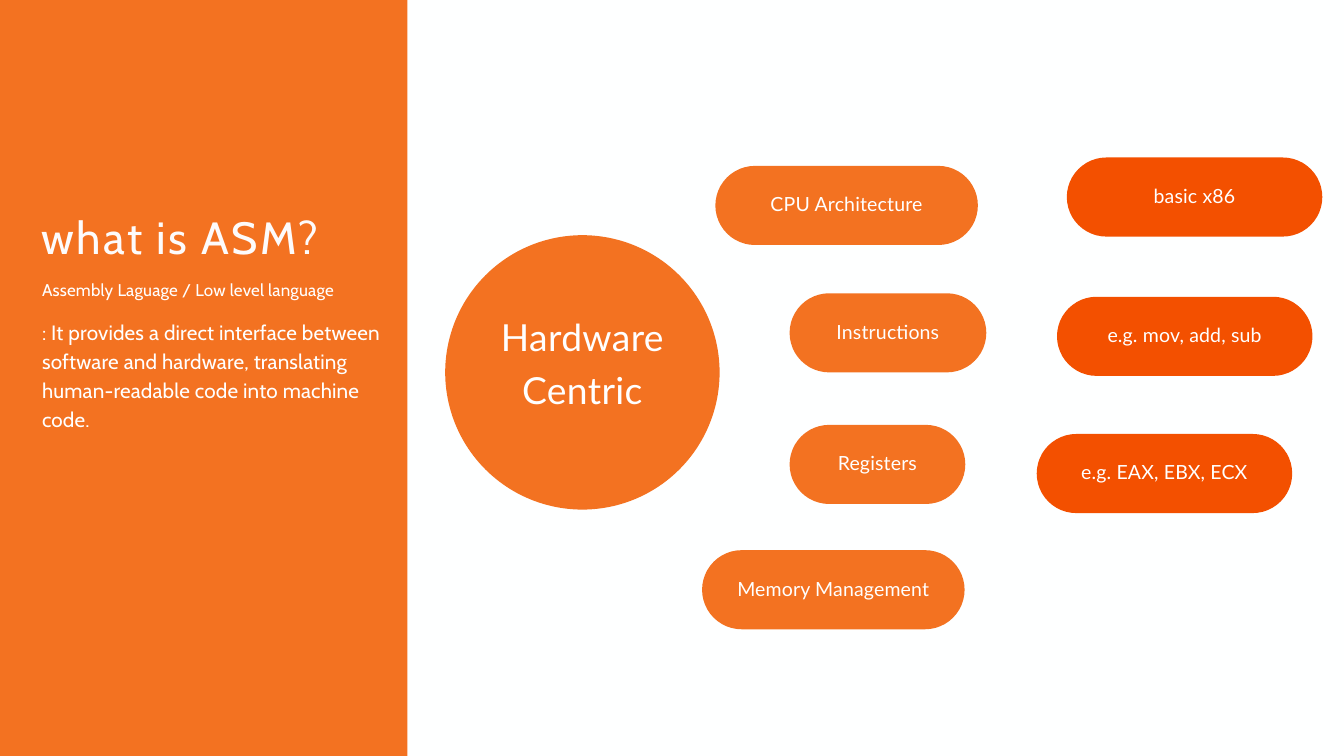
from pptx import Presentation
from pptx.dml.color import RGBColor
from pptx.enum.shapes import MSO_SHAPE
from pptx.enum.text import MSO_ANCHOR, PP_ALIGN
from pptx.util import Pt

RECTANGLE = MSO_SHAPE.RECTANGLE
OVAL = MSO_SHAPE.OVAL
PILL = MSO_SHAPE.ROUNDED_RECTANGLE
MIDDLE = MSO_ANCHOR.MIDDLE
TOP = MSO_ANCHOR.TOP
CENTER = PP_ALIGN.CENTER
LEFT = PP_ALIGN.LEFT

PX = 9525
COLORS = {
    "background": "FEFFFF",
    "topic": "F37221",
    "example": "F35000",
    "text": "FFFFFF",
    "title": "FDFBFB",
}
PILL_HEIGHT = 113

deck = Presentation()
deck.slide_width = 1920 * PX
deck.slide_height = 1080 * PX
page = deck.slides.add_slide(deck.slide_layouts[6])
page.background.fill.solid()
page.background.fill.fore_color.rgb = RGBColor.from_string(COLORS["background"])


def add_block(kind, left, top, width, height, color):
    shape = page.shapes.add_shape(kind, left * PX, top * PX, width * PX, height * PX)
    shape.shadow.inherit = False
    shape.fill.solid()
    shape.fill.fore_color.rgb = RGBColor.from_string(COLORS[color])
    shape.line.fill.background()
    return shape


def write(box, lines, font, margins, anchor, align, color="text"):
    frame = box.text_frame
    frame.word_wrap = True
    frame.vertical_anchor = anchor
    frame.margin_left, frame.margin_top, frame.margin_right, frame.margin_bottom = (
        margin * PX for margin in margins
    )
    for index, (text, size, line_height, gap, tracking) in enumerate(lines):
        para = frame.add_paragraph() if index else frame.paragraphs[0]
        para.alignment = align
        para.line_spacing = Pt(line_height)
        if gap:
            para.space_before = Pt(gap)
        span = para.add_run()
        span.text = text
        span.font.name = font
        span.font.size = Pt(size)
        span.font.color.rgb = RGBColor.from_string(COLORS[color])
        span.font._element.set("spc", str(tracking))


add_block(RECTANGLE, 0, 0, 582, 1080, "topic")

circle = add_block(OVAL, 636, 336, 392, 392, "topic")
circle_lines = [(word, 39.9, 55.9, 0, 40) for word in ("Hardware", "Centric")]
write(circle, circle_lines, "Lato", (6, 6, 6, 43), MIDDLE, CENTER)

pills = [
    ("CPU Architecture", 1022, 237, 375, "topic"),
    ("Instructions", 1128, 419, 281, "topic"),
    ("Registers", 1128, 607, 251, "topic"),
    ("Memory Management", 1003, 786, 375, "topic"),
    ("basic x86", 1524, 225, 365, "example"),
    ("e.g. mov, add, sub", 1510, 424, 365, "example"),
    ("e.g. EAX, EBX, ECX", 1481, 620, 365, "example"),
]
for label, left, top, width, color in pills:
    pill = add_block(PILL, left, top, width, PILL_HEIGHT, color)
    pill.adjustments[0] = 0.5
    write(pill, [(label, 20.9, 29.3, 0, 20)], "Lato", (6, 6, 6, 16), MIDDLE, CENTER)

title = page.shapes.add_textbox(60 * PX, 287 * PX, 484 * PX, 89 * PX)
write(title, [("what is ASM?", 48.3, 66.7, 0, 240)], "Cabin", (0, 0, 0, 0), TOP, LEFT, "title")

body = page.shapes.add_textbox(60 * PX, 394 * PX, 496 * PX, 260 * PX)
body_lines = [
    ("Assembly Laguage / Low level language", 18.2, 25.4, 0, 20),
    (
        ": It provides a direct interface between software and hardware, "
        "translating human-readable code into machine code.",
        22.2, 31, 17, 20,
    ),
]
write(body, body_lines, "Cabin", (0, 0, 0, 0), TOP, LEFT)

deck.save("out.pptx")
